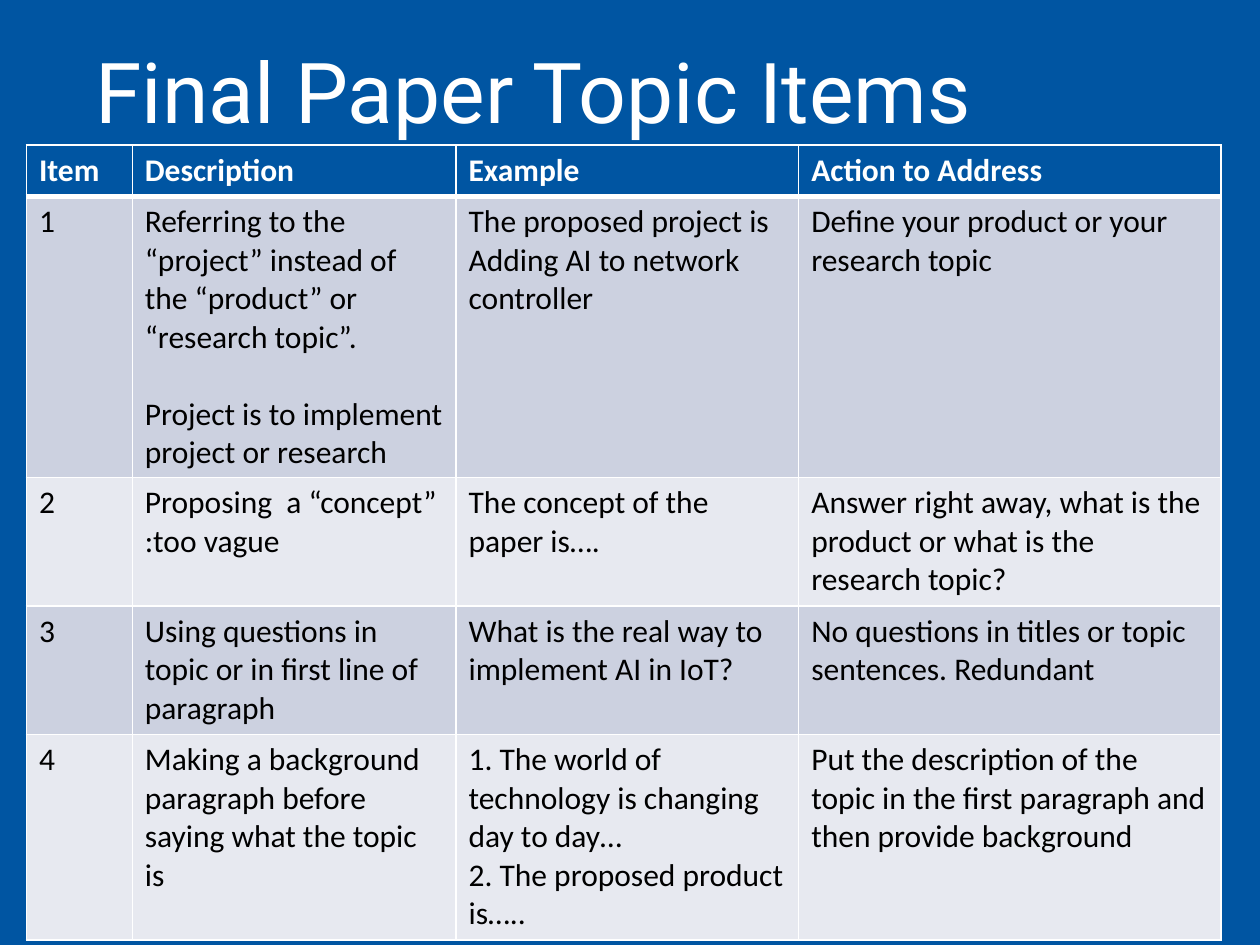
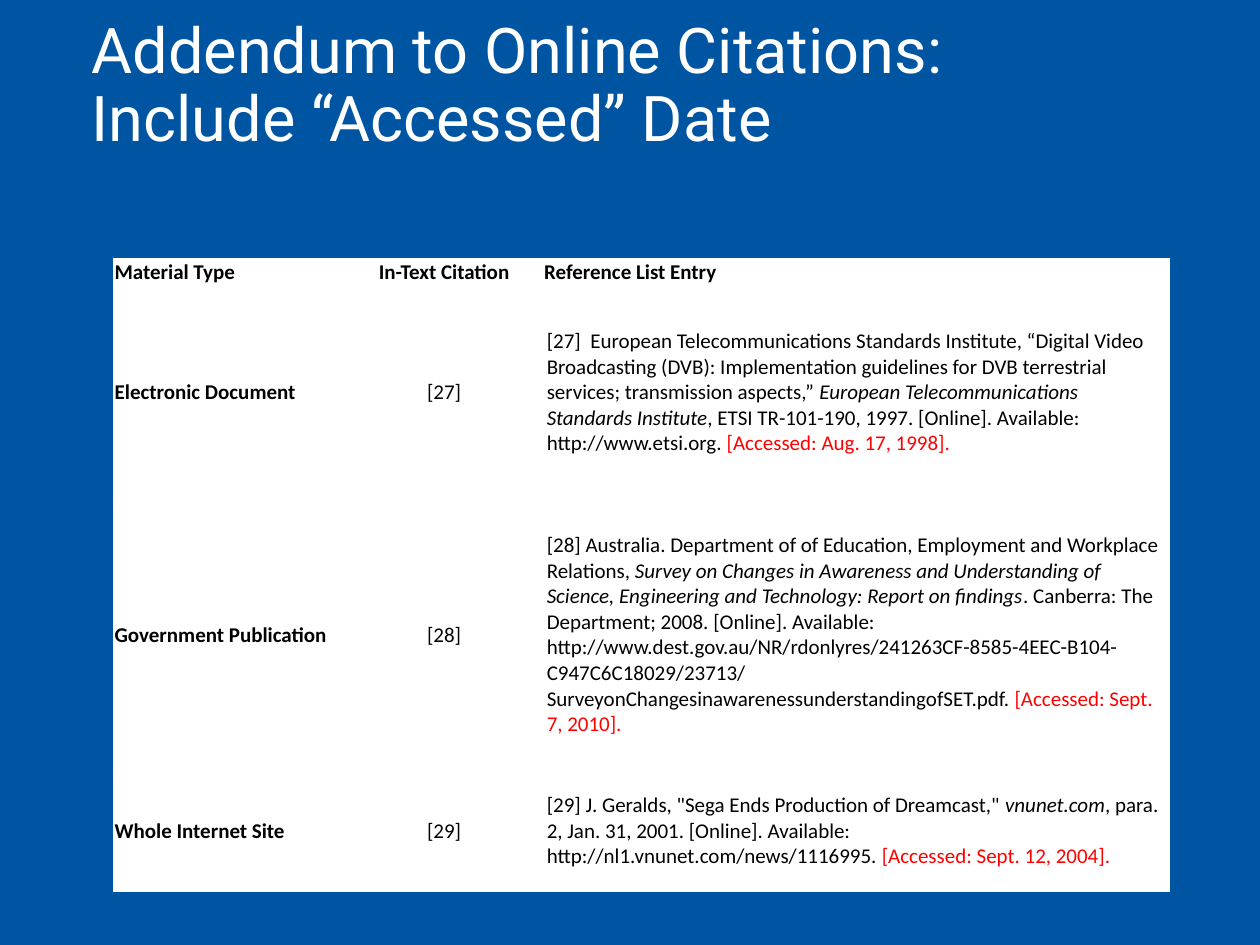
"""Build two slides on final paper topics and online citations."""
from dataclasses import dataclass

from lxml import etree
from pptx import Presentation
from pptx import util as u
from pptx.dml import color
from pptx.enum import text
from pptx.oxml import ns


@dataclass(frozen=True)
class Theme:
    blue: str = "0055A2"
    white: str = "FFFFFF"
    black: str = "000000"
    red: str = "FF0000"
    bands: tuple = ("CCD1E0", "E7E9F0")
    title_font: str = "Roboto"
    body_font: str = "Calibri"
    item_size: int = 18
    citation_size: int = 12


theme = Theme()


def add_span(para, words, font, size, ink, bold=False, italic=False):
    span = para.add_run()
    span.text = words
    span.font.name = font
    span.font.size = u.Pt(size)
    span.font.color.rgb = color.RGBColor.from_string(ink)
    span.font.bold = bold
    span.font.italic = italic


def add_grid(page, left, top, widths, heights):
    frame = page.shapes.add_table(
        len(heights), len(widths), u.Inches(left), u.Inches(top),
        u.Inches(sum(widths)), u.Inches(sum(heights)))
    grid = frame.table
    grid.first_row = False
    grid.horz_banding = False
    for column, width in zip(grid.columns, widths):
        column.width = u.Inches(width)
    for row, height in zip(grid.rows, heights):
        row.height = u.Inches(height)
    return grid


deck = Presentation()
deck.slide_width = u.Inches(10)
deck.slide_height = u.Inches(7.5)

titles = [
    ("Final Paper Topic Items", 0.66, 0.28, 48),
    ("Addendum to Online Citations: Include “Accessed” Date", 0.63, 0.21, 36),
]
pages = []
for title, left, top, size in titles:
    page = deck.slides.add_slide(deck.slide_layouts[6])
    page.background.fill.solid()
    page.background.fill.fore_color.rgb = color.RGBColor.from_string(theme.blue)
    box = page.shapes.add_textbox(
        u.Inches(left), u.Inches(top), u.Inches(8.62), u.Inches(0.97))
    box.text_frame.word_wrap = True
    box.text_frame.vertical_anchor = text.MSO_ANCHOR.MIDDLE
    para = box.text_frame.paragraphs[0]
    para.line_spacing = 0.9
    add_span(para, title, theme.title_font, size, theme.white)
    pages.append(page)
items_page, citations_page = pages

items = [
    [["Item"], ["Description"], ["Example"], ["Action to Address"]],
    [["1"],
     ["Referring to the “project” instead of the “product” or “research topic”.",
      "Project is to implement project or research"],
     ["The proposed project is Adding AI to network controller"],
     ["Define your product or your research topic"]],
    [["2"],
     ["Proposing  a “concept” :too vague"],
     ["The concept of the paper is…."],
     ["Answer right away, what is the product or what is the research topic?"]],
    [["3"],
     ["Using questions in topic or in first line of paragraph"],
     ["What is the real way to implement AI in IoT?"],
     ["No questions in titles or topic sentences. Redundant"]],
    [["4"],
     ["Making a background paragraph before saying what the topic is"],
     ["1. The world of technology is changing day to day…",
      "2. The proposed product is….."],
     ["Put the description of the topic in the first paragraph and then "
      "provide background"]],
]
grid = add_grid(items_page, 0.21, 1.15, [0.84, 2.57, 2.72, 3.35],
                [0.41, 2.23, 1.02, 1.02, 1.63])
for row, entries in enumerate(items):
    header = row == 0
    ink = theme.white if header else theme.black
    fill = theme.blue if header else theme.bands[(row - 1) % 2]
    border_widths = {"L": 1, "R": 1, "T": 3 if row == 1 else 1,
                     "B": 3 if header else 1}
    for column, lines in enumerate(entries):
        cell = grid.cell(row, column)
        properties = cell._tc.get_or_add_tcPr()
        for side, width in border_widths.items():
            border = etree.SubElement(
                properties, ns.qn(f"a:ln{side}"), w=str(u.Pt(width)))
            paint = etree.SubElement(border, ns.qn("a:solidFill"))
            etree.SubElement(paint, ns.qn("a:srgbClr"), val=theme.white)
        cell.fill.solid()
        cell.fill.fore_color.rgb = color.RGBColor.from_string(fill)
        for index, line in enumerate(lines):
            para = (cell.text_frame.add_paragraph() if index
                    else cell.text_frame.paragraphs[0])
            if index and column == 1:
                para.space_before = u.Pt(22)
            add_span(para, line, theme.body_font, theme.item_size, ink, header)

citations = [
    ("Material Type", "In-Text Citation", ["Reference List Entry"]),
    ("Electronic Document", "[27]", [
        "[27]  European Telecommunications Standards Institute, “Digital Video "
        "Broadcasting (DVB): Implementation guidelines for DVB terrestrial "
        "services; transmission aspects,” ",
        "European Telecommunications Standards Institute",
        ", ETSI TR-101-190, 1997. [Online]. Available: http://www.etsi.org. ",
        "[Accessed: Aug. 17, 1998]."]),
    ("Government Publication", "[28]", [
        "[28] Australia. Department of of Education, Employment and Workplace "
        "Relations, ",
        "Survey on Changes in Awareness and Understanding of Science, "
        "Engineering and Technology: Report on findings",
        ". Canberra: The Department; 2008. [Online]. Available: "
        "http://www.dest.gov.au/NR/rdonlyres/241263CF-8585-4EEC-B104-"
        "C947C6C18029/23713/SurveyonChangesinawarenessunderstandingofSET.pdf. ",
        "[Accessed: Sept. 7, 2010]."]),
    ("Whole Internet Site", "[29]", [
        "[29] J. Geralds, \"Sega Ends Production of Dreamcast,\" ",
        "vnunet.com",
        ", para. 2, Jan. 31, 2001. [Online]. Available: "
        "http://nl1.vnunet.com/news/1116995. ",
        "[Accessed: Sept. 12, 2004]."]),
]
grid = add_grid(citations_page, 0.9, 2.05, [1.84, 1.57, 4.97],
                [0.2, 1.69, 2.16, 0.95])
for row, (material, mark, reference) in enumerate(citations):
    for column, parts in enumerate([[material], [mark], reference]):
        cell = grid.cell(row, column)
        cell.fill.solid()
        cell.fill.fore_color.rgb = color.RGBColor.from_string(theme.white)
        cell.vertical_anchor = text.MSO_ANCHOR.MIDDLE
        cell.margin_right = cell.margin_top = cell.margin_bottom = u.Inches(0.01)
        cell.margin_left = u.Inches(0.03 if row and column == 2 else 0.01)
        para = cell.text_frame.paragraphs[0]
        if column == 1:
            para.alignment = text.PP_ALIGN.CENTER
        for index, words in enumerate(parts):
            add_span(para, words, theme.body_font, theme.citation_size,
                     theme.red if index == 3 else theme.black,
                     bold=row == 0 or column == 0, italic=index == 1)

deck.save("out.pptx")
